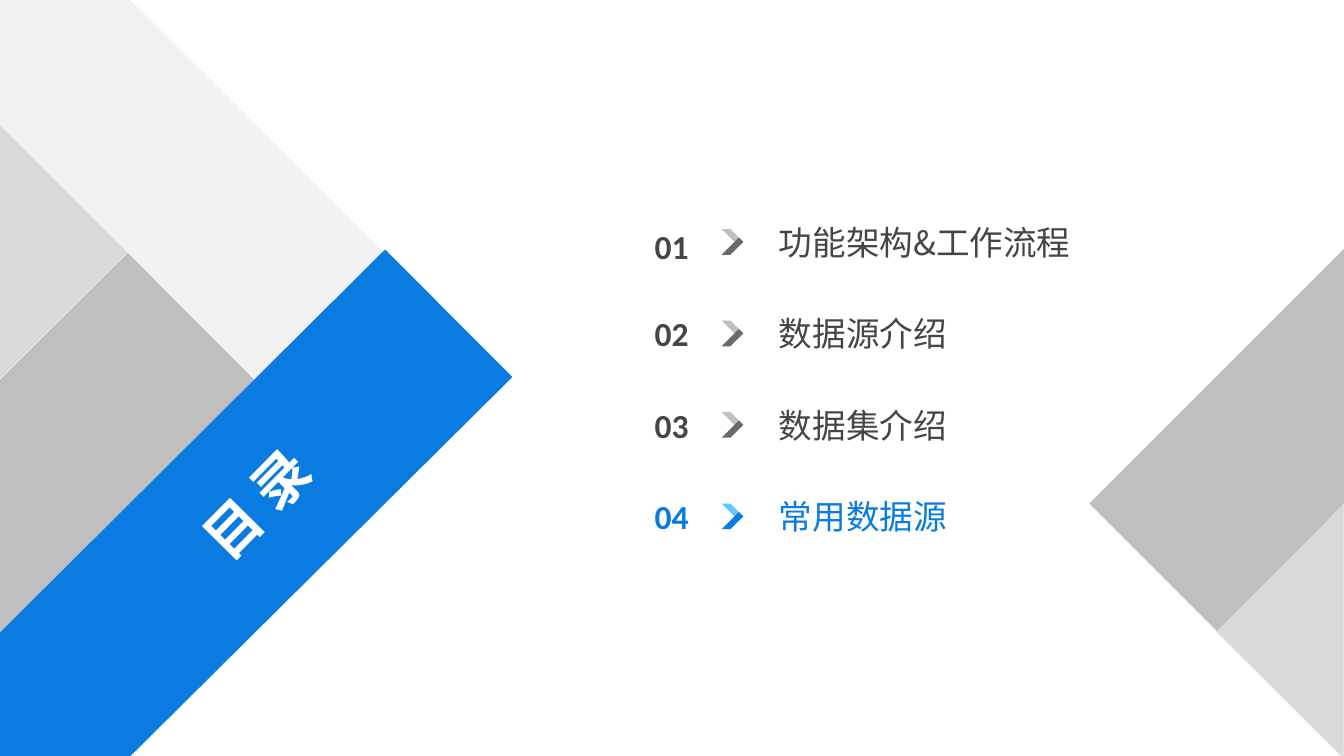
from lxml import etree
from pptx import Presentation
from pptx import util as u
from pptx.dml.color import RGBColor
from pptx.enum import text
from pptx.oxml.ns import qn

COLORS = {
    "blue": "0A7BE0", "sky": "66C7FF", "ink": "464646", "white": "FFFFFF",
    "pale": "F2F2F2", "light": "D9D9D9", "grey": "BFBFBF",
    "chevron_top": "C1BFBF", "chevron_bottom": "6C6969",
}
LATIN, CJK = "Calibri", "Noto Sans CJK JP"

# Outlines, as percentages of the slide's width and height
BANDS = [
    ("grey", [(9.56, 33.27), (19.05, 50.13), (0, 83.87), (0, 50.2)], None),
    ("light", [(0, 16.33), (9.56, 33.27), (0, 50.13)], "pale"),
    ("pale", [(0, 0), (9.71, 0), (28.65, 33.53), (19.09, 50.47), (0, 16.53)], None),
    ("blue", [(28.65, 33), (38.13, 49.87), (9.71, 100), (0, 100), (0, 83.67)], None),
    ("light", [(100, 100.4), (90.44, 83.47), (100, 66.53)], "pale"),
    ("grey", [(90.55, 83.47), (81.06, 66.6), (100, 32.93), (100, 66.6)], None),
]
CHEVRON = [(0, -1.7), (1.27, 0.57), (1.61, 0), (0.64, -1.7)]
TOPICS = ["功能架构&工作流程", "数据源介绍", "数据集介绍", "常用数据源"]
CURRENT = 3
FIRST_ROW, ROW_STEP = 32, 12.1


class Deck:
    """Style and current slide; all lengths are percentages of the slide."""

    def __init__(self, width, height):
        self.prs = Presentation()
        self.prs.slide_width, self.prs.slide_height = u.Inches(width), u.Inches(height)
        self.s = self.prs.slides.add_slide(self.prs.slide_layouts[5])

    def x(self, share):
        return round(self.prs.slide_width * share / 100)

    def y(self, share):
        return round(self.prs.slide_height * share / 100)

    def color(self, name):
        return RGBColor.from_string(COLORS[name])

    def polygon(self, points, fill, line=None):
        start, *rest = [(self.x(px), self.y(py)) for px, py in points]
        builder = self.s.shapes.build_freeform(*start)
        builder.add_line_segments(rest, close=True)
        sp = builder.convert_to_shape()
        sp.shadow.inherit = False
        sp.fill.solid()
        sp.fill.fore_color.rgb = self.color(fill)
        if line:
            sp.line.color.rgb = self.color(line)
            sp.line.width = u.Pt(0.75)
        else:
            sp.line.fill.background()

    def chevron(self, left, middle, top, bottom):
        for side, fill in ((1, top), (-1, bottom)):
            self.polygon([(left + dx, middle + side * dy) for dx, dy in CHEVRON], fill)

    def set_text(self, sp, words, size, font, color, bold=False, centred=False):
        tf = sp.text_frame
        tf.word_wrap = True
        tf.auto_size = text.MSO_AUTO_SIZE.NONE
        tf.vertical_anchor = text.MSO_ANCHOR.MIDDLE
        p = tf.paragraphs[0]
        p.alignment = text.PP_ALIGN.CENTER if centred else text.PP_ALIGN.LEFT
        r = p.add_run()
        r.text = words
        r.font.size, r.font.bold, r.font.name = u.Pt(size), bold, font
        r.font.color.rgb = self.color(color)
        etree.SubElement(r._r.get_or_add_rPr(), qn("a:ea")).set("typeface", font)
        return p

    def label(self, left, middle, width, height, words, **style):
        sp = self.s.shapes.add_textbox(self.x(left), self.y(middle - height / 2),
                                       self.x(width), self.y(height))
        return self.set_text(sp, words, 48, **style)

    def title(self, left, top, width, height, rotation, words):
        """Fill the title and bring it in front of the bands."""
        sp = self.s.shapes.title
        sp.left, sp.top = self.x(left), self.y(top)
        sp.width, sp.height = self.x(width), self.y(height)
        sp.rotation = rotation
        self.set_text(sp, words, 80, CJK, "white", bold=True, centred=True)
        self.s.shapes.element.append(sp.element)


def main():
    deck = Deck(26.67, 15)
    for fill, points, line in BANDS:
        deck.polygon(points, fill, line)
    deck.title(1.2, 57.6, 35.77, 18, 314.7, "目 录")

    for i, topic in enumerate(TOPICS):
        middle = FIRST_ROW + i * ROW_STEP
        active = i == CURRENT
        ink = "blue" if active else "ink"
        tones = ("sky", "blue") if active else ("chevron_top", "chevron_bottom")
        number = deck.label(46.94, middle if i else 33.1, 6.07, 10.8, f"{i + 1:02}",
                            font=LATIN, color=ink, bold=True, centred=True)
        if i == 0:
            number.line_spacing = 0.8
        deck.chevron(53.7, middle, *tones)
        deck.label(57.59, middle, 30.9, 12.6, topic, font=CJK, color=ink)
    deck.prs.save("out.pptx")


if __name__ == "__main__":
    main()
